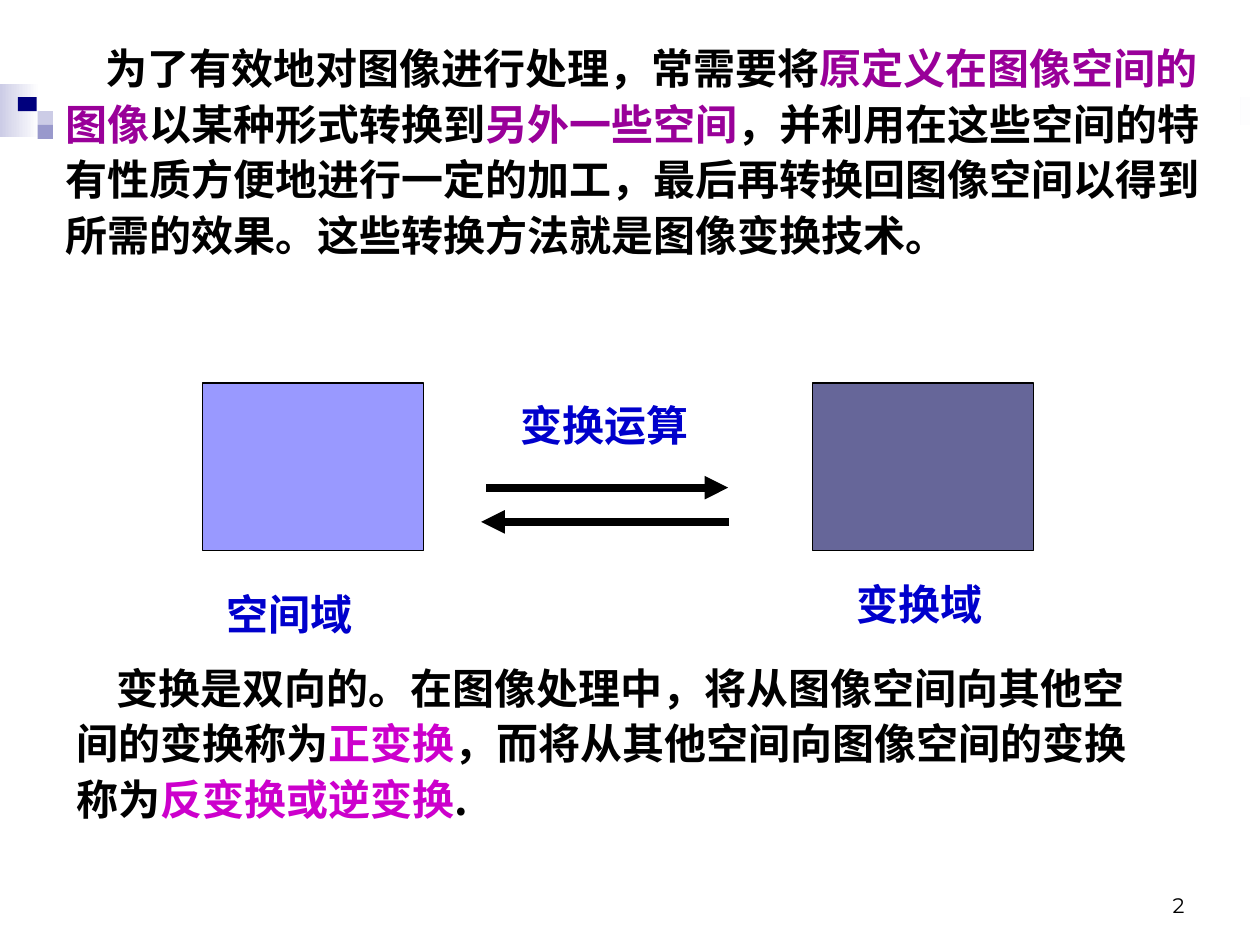
from lxml.etree import SubElement
from pptx import Presentation
from pptx.dml.color import RGBColor
from pptx.enum.shapes import MSO_CONNECTOR, MSO_SHAPE
from pptx.enum.text import MSO_ANCHOR, PP_ALIGN
from pptx.oxml.ns import qn
from pptx.util import Cm, Pt

WHITE = RGBColor(0xFF, 0xFF, 0xFF)
BLACK = RGBColor(0x00, 0x00, 0x00)
NAVY = RGBColor(0x00, 0x00, 0x7D)
LILAC = RGBColor(0xCC, 0xCC, 0xE6)
MAUVE = RGBColor(0x99, 0x99, 0xCC)
SKY = RGBColor(0x99, 0x99, 0xFF)
SLATE = RGBColor(0x66, 0x66, 0x99)
BLUE = RGBColor(0x00, 0x00, 0xCC)
PURPLE = RGBColor(0x99, 0x00, 0x99)
PINK = RGBColor(0xCC, 0x00, 0xCC)
HAN = "Noto Sans CJK SC"
SERIF = "Times New Roman"
SANS = "Montserrat"

INTRO = [
    ("为了有效地对图像进行处理，常需要将", BLACK),
    ("原定义在图像空间的图像", PURPLE),
    ("以某种形式转换到", BLACK),
    ("另外一些空间", PURPLE),
    ("，并利用在这些空间的特有性质方便地进行一定的加工，"
     "最后再转换回图像空间以得到所需的效果。这些转换方法就是图像变换技术。", BLACK),
]
CLOSING = [
    ("变换是双向的。在图像处理中，将从图像空间向其他空间的变换称为", BLACK),
    ("正变换", PINK),
    ("，而将从其他空间向图像空间的变换称为", BLACK),
    ("反变换或逆变换", PINK),
    (".", BLACK),
]


def add_rect(slide, box, color, line=None):
    """Add a plain rectangle, outlined if a line colour is given."""
    rect = slide.shapes.add_shape(MSO_SHAPE.RECTANGLE, *map(Cm, box))
    rect.shadow.inherit = False
    rect.fill.solid()
    rect.fill.fore_color.rgb = color
    if line is None:
        rect.line.fill.background()
    else:
        rect.line.color.rgb = line
        rect.line.width = Pt(0.75)
    return rect


def add_fade(slide, box, color):
    """Add a rectangle that fades from a colour to white, left to right."""
    fill = add_rect(slide, box, color).fill
    fill.gradient()
    fill.gradient_angle = 0
    for stop, tone in zip(fill.gradient_stops, (color, WHITE)):
        stop.color.rgb = tone


def add_text(slide, box, parts, face=HAN, size=24, bold=True):
    """Add a wrapped text box of coloured runs and return it."""
    area = slide.shapes.add_textbox(*map(Cm, box))
    area.text_frame.word_wrap = True
    para = area.text_frame.paragraphs[0]
    for words, color in parts:
        run = para.add_run()
        run.text = words
        run.font.name = face
        run.font.size = Pt(size)
        run.font.bold = bold
        run.font.color.rgb = color
        SubElement(run.font._element, qn("a:ea"), typeface=HAN)
    return area


def add_prose(slide, box, parts):
    """Add a body paragraph with an indented first line."""
    area = add_text(slide, box, parts)
    para = area.text_frame.paragraphs[0]
    para.line_spacing = 1.1
    para._p.get_or_add_pPr().set("indent", str(Cm(0.8)))
    return area


def add_arrow(slide, start, end, level):
    """Add a thick level arrow."""
    arrow = slide.shapes.add_connector(
        MSO_CONNECTOR.STRAIGHT, Cm(start), Cm(level), Cm(end), Cm(level))
    arrow.line.color.rgb = BLACK
    arrow.line.width = Pt(4.5)
    SubElement(arrow.line._get_or_add_ln(), qn("a:tailEnd"), type="triangle")
    SubElement(arrow._element.spPr, qn("a:effectLst"))


def add_decor(slide):
    """Add the fading bars and small squares at the top left."""
    add_fade(slide, (0, 1.7, 0.79, 1.07), LILAC)
    add_fade(slide, (1.14, 1.96, 24.26, 0.56), NAVY)
    for left, top, color in ((0.76, 2.24, LILAC), (0.36, 1.96, NAVY),
                             (0.76, 2.52, MAUVE)):
        add_rect(slide, (left, top, 0.38, 0.28), color)


def add_flow(slide):
    """Add the two domains, their labels and the arrows between them."""
    for left, color in ((4.09, SKY), (16.38, SLATE)):
        add_rect(slide, (left, 7.72, 4.45, 3.38), color, BLACK)
    add_arrow(slide, 9.8, 14.68, 9.83)
    add_arrow(slide, 14.7, 9.7, 10.52)
    for left, top, width, words in ((10.24, 7.92, 4.65, "变换运算"),
                                    (4.32, 11.73, 4.01, "空间域"),
                                    (17.02, 11.53, 3.38, "变换域")):
        add_text(slide, (left, top, width, 1.27), [(words, BLUE)], SERIF)


def add_number(slide):
    """Add the page number at the bottom right."""
    area = add_text(slide, (18.21, 17.35, 5.92, 1.27), [("2", BLACK)],
                    SANS, 12, False)
    area.text_frame.vertical_anchor = MSO_ANCHOR.BOTTOM
    area.text_frame.paragraphs[0].alignment = PP_ALIGN.RIGHT


def main():
    """Build the slide and save it."""
    deck = Presentation()
    deck.slide_width, deck.slide_height = Cm(25.4), Cm(19.05)
    slide = deck.slides.add_slide(deck.slide_layouts[6])
    add_decor(slide)
    add_prose(slide, (1.3, 13.13, 22.2, 5.28), CLOSING)
    intro = add_prose(slide, (1.07, 0.64, 23.93, 4.72), INTRO)
    intro.fill.solid()
    intro.fill.fore_color.rgb = WHITE
    add_flow(slide)
    add_number(slide)
    deck.save("out.pptx")


if __name__ == "__main__":
    main()
